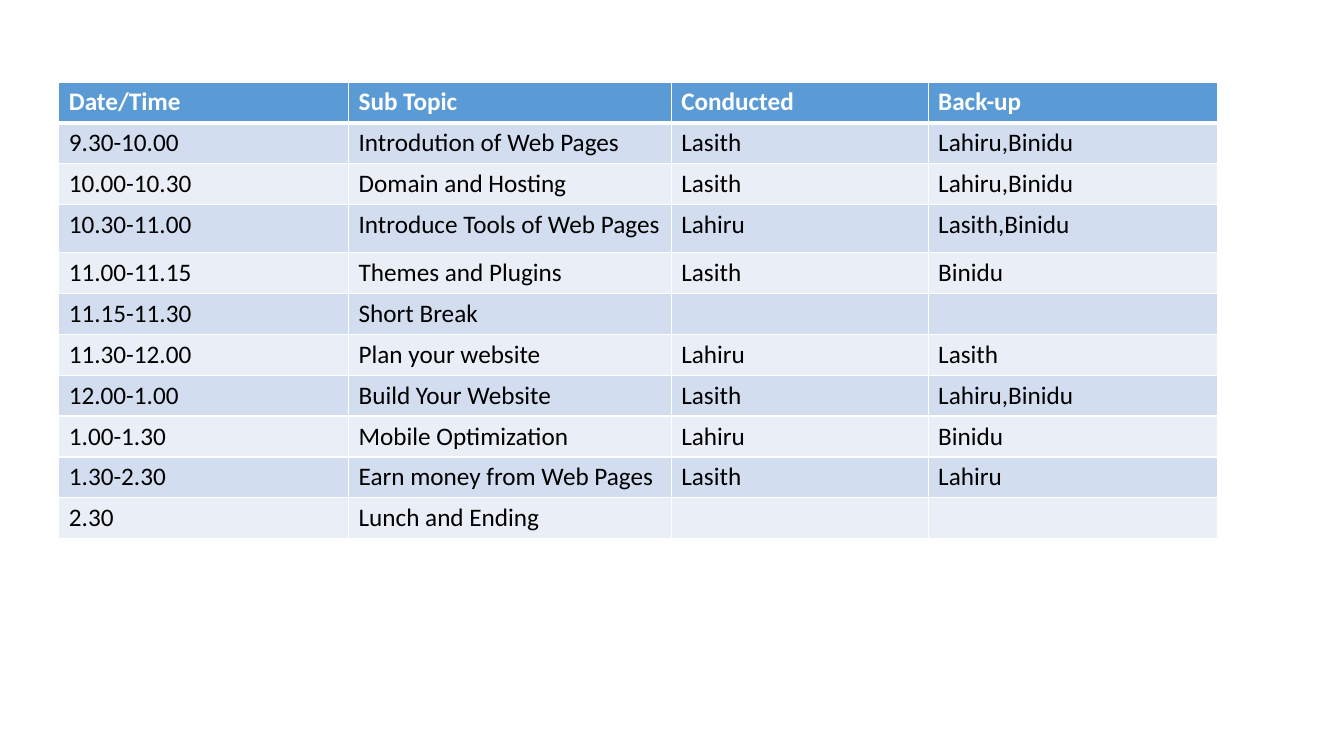
from lxml.etree import SubElement
from pptx import Presentation
from pptx.dml.color import RGBColor
from pptx.oxml.ns import qn
from pptx.util import Pt

WHITE = RGBColor(0xFF, 0xFF, 0xFF)
BLACK = RGBColor(0, 0, 0)
HEADER_BLUE = RGBColor(0x5B, 0x9B, 0xD5)
BAND_DARK = RGBColor(0xD2, 0xDE, 0xEF)
BAND_LIGHT = RGBColor(0xEA, 0xEF, 0xF7)

FONT_NAME = "Calibri"
FONT_SIZE = Pt(18)
COLUMN_WIDTHS = [207, 230.5, 183.5, 207]
ROW_HEIGHT = 29.2
TALL_ROW, TALL_ROW_HEIGHT = 3, 34.3

SCHEDULE = [
    ("Date/Time", "Sub Topic", "Conducted", "Back-up"),
    ("9.30-10.00", "Introdution of Web Pages", "Lasith", "Lahiru,Binidu"),
    ("10.00-10.30", "Domain and Hosting", "Lasith", "Lahiru,Binidu"),
    ("10.30-11.00", "Introduce Tools of Web Pages", "Lahiru", "Lasith,Binidu"),
    ("11.00-11.15", "Themes and Plugins", "Lasith", "Binidu"),
    ("11.15-11.30", "Short Break", "", ""),
    ("11.30-12.00", "Plan your website", "Lahiru", "Lasith"),
    ("12.00-1.00", "Build Your Website", "Lasith", "Lahiru,Binidu"),
    ("1.00-1.30", "Mobile Optimization", "Lahiru", "Binidu"),
    ("1.30-2.30", "Earn money from Web Pages", "Lasith", "Lahiru"),
    ("2.30", "Lunch and Ending", "", ""),
]


def set_borders(cell, top, bottom):
    """Draw white cell borders; top and bottom are widths in points."""
    properties = cell._tc.get_or_add_tcPr()
    for side, width in (("L", 1), ("R", 1), ("T", top), ("B", bottom)):
        line = SubElement(properties, qn(f"a:ln{side}"), w=str(Pt(width)))
        fill = SubElement(line, qn("a:solidFill"))
        SubElement(fill, qn("a:srgbClr"), val=str(WHITE))


def fill_cell(cell, text, row_index):
    is_header = row_index == 0
    # Thick rule between the header and the first session
    set_borders(cell, 3 if row_index == 1 else 1, 3 if is_header else 1)
    cell.fill.solid()
    band = BAND_DARK if row_index % 2 else BAND_LIGHT
    cell.fill.fore_color.rgb = HEADER_BLUE if is_header else band

    # Text
    cell.text_frame.text = text
    for run in cell.text_frame.paragraphs[0].runs:
        run.font.name = FONT_NAME
        run.font.size = FONT_SIZE
        run.font.bold = is_header
        run.font.color.rgb = WHITE if is_header else BLACK


def add_schedule(slide):
    frame = slide.shapes.add_table(
        len(SCHEDULE), len(COLUMN_WIDTHS), Pt(42), Pt(58.5),
        Pt(sum(COLUMN_WIDTHS)), Pt(ROW_HEIGHT * len(SCHEDULE)))
    table = frame.table
    for column, width in zip(table.columns, COLUMN_WIDTHS):
        column.width = Pt(width)
    for row_index, texts in enumerate(SCHEDULE):
        row = table.rows[row_index]
        row.height = Pt(TALL_ROW_HEIGHT if row_index == TALL_ROW else ROW_HEIGHT)
        for cell, text in zip(row.cells, texts):
            fill_cell(cell, text, row_index)


def main():
    presentation = Presentation()
    presentation.slide_width = Pt(960)
    presentation.slide_height = Pt(540)
    # Blank layout: the slide has no title
    slide = presentation.slides.add_slide(presentation.slide_layouts[6])
    add_schedule(slide)
    presentation.save("out.pptx")


if __name__ == "__main__":
    main()
